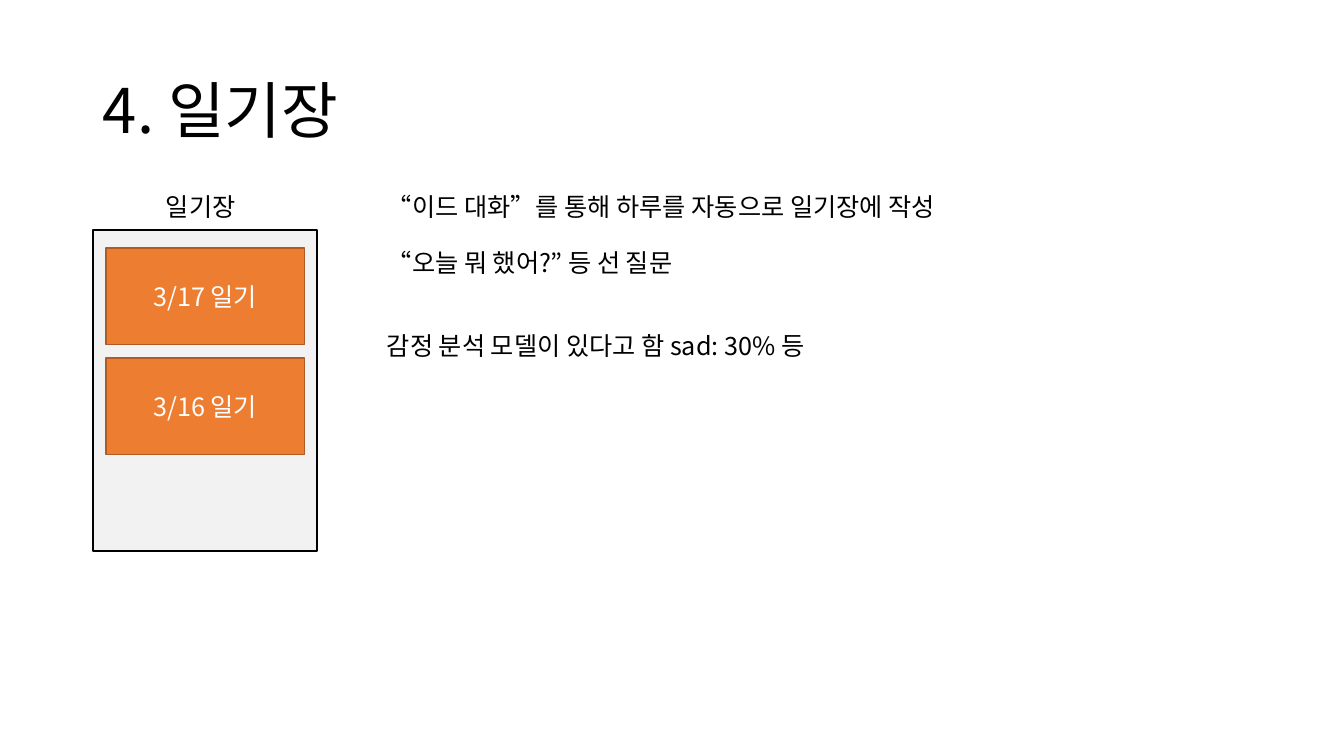
from dataclasses import dataclass

from lxml.etree import SubElement
from pptx import Presentation
from pptx.dml.color import RGBColor
from pptx.enum.shapes import MSO_SHAPE
from pptx.enum.text import MSO_ANCHOR, MSO_AUTO_SIZE, PP_ALIGN
from pptx.oxml.ns import qn
from pptx.util import Cm, Pt


@dataclass(frozen=True)
class Theme:
    font: str = "Noto Sans CJK KR"
    ink: RGBColor = RGBColor.from_string("000000")
    light: RGBColor = RGBColor.from_string("FFFFFF")
    panel: RGBColor = RGBColor.from_string("F2F2F2")
    entry: RGBColor = RGBColor.from_string("ED7D31")
    entry_edge: RGBColor = RGBColor.from_string("AF5C24")
    title_size: Pt = Pt(44)
    text_size: Pt = Pt(18)


THEME = Theme()
ENTRIES = ["3/17 일기", "3/16 일기"]
NOTES = [
    ("“이드 대화”를 통해 하루를 자동으로 일기장에 작성", 0),
    ("“오늘 뭐 했어?” 등 선 질문", 18),
    ("감정 분석 모델이 있다고 함 sad: 30% 등", 38),
]


def style(paragraph, color=THEME.ink, size=THEME.text_size, align=PP_ALIGN.LEFT):
    paragraph.alignment = align
    font = paragraph.font
    font.size = size
    font.color.rgb = color
    font.name = THEME.font
    defaults = paragraph._p.pPr.find(qn("a:defRPr"))
    SubElement(defaults, qn("a:ea")).set("typeface", THEME.font)


def add_title(slide, text):
    title = slide.shapes.title
    title.left, title.top, title.width, title.height = Cm(2.34), Cm(1.02), Cm(29.21), Cm(3.68)
    title.text_frame.text = text
    title.text_frame.vertical_anchor = MSO_ANCHOR.MIDDLE
    heading = title.text_frame.paragraphs[0]
    heading.line_spacing = 0.9
    style(heading, size=THEME.title_size)


def add_box(slide, left, top, width, height, fill, edge, edge_width):
    box = slide.shapes.add_shape(MSO_SHAPE.RECTANGLE, left, top, width, height)
    box.shadow.inherit = False
    box.fill.solid()
    box.fill.fore_color.rgb = fill
    box.line.color.rgb = edge
    box.line.width = edge_width
    return box


def add_entry(slide, top, text):
    entry = add_box(slide, Cm(2.67), top, Cm(5), Cm(2.44),
                    THEME.entry, THEME.entry_edge, Pt(1))
    entry.text_frame.text = text
    entry.text_frame.vertical_anchor = MSO_ANCHOR.MIDDLE
    style(entry.text_frame.paragraphs[0], THEME.light, align=PP_ALIGN.CENTER)


def add_text(slide, left, top, width, height, lines, align=PP_ALIGN.LEFT, wrap=True):
    frame = slide.shapes.add_textbox(left, top, width, height).text_frame
    frame.word_wrap = wrap
    frame.auto_size = MSO_AUTO_SIZE.SHAPE_TO_FIT_TEXT if not wrap else MSO_AUTO_SIZE.NONE
    frame.text = "\n".join(text for text, gap in lines)
    for paragraph, (text, gap) in zip(frame.paragraphs, lines):
        if gap:
            paragraph.space_before = Pt(gap)
        style(paragraph, align=align)


def main():
    presentation = Presentation()
    presentation.slide_width, presentation.slide_height = Cm(33.87), Cm(19.05)
    slide = presentation.slides.add_slide(presentation.slide_layouts[5])

    add_text(slide, Cm(9.5), Cm(4.7), Cm(19.33), Cm(4.88), NOTES)
    add_title(slide, "4. 일기장")
    add_box(slide, Cm(2.34), Cm(5.79), Cm(5.66), Cm(8.1), THEME.panel, THEME.ink, Pt(1.5))
    add_text(slide, Cm(3.84), Cm(4.7), Cm(2.44), Cm(1.02), [("일기장", 0)],
             PP_ALIGN.CENTER, wrap=False)
    for row, text in enumerate(ENTRIES):
        add_entry(slide, Cm(6.25 + row * 2.77), text)

    presentation.save("out.pptx")


if __name__ == "__main__":
    main()
